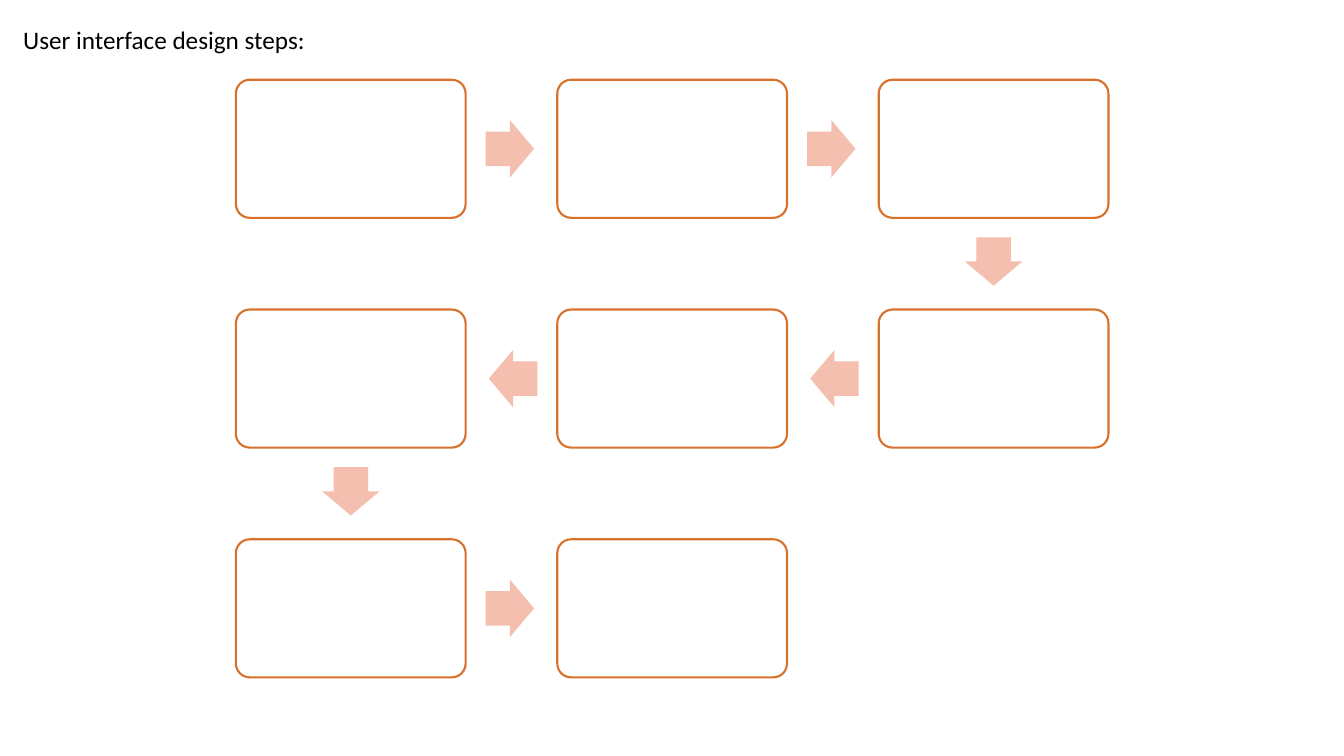
from pptx import Presentation
from pptx.dml.color import RGBColor
from pptx.enum.shapes import MSO_SHAPE
from pptx.enum.text import MSO_ANCHOR, PP_ALIGN
from pptx.util import Cm, Pt

BOX, ARROW = MSO_SHAPE.ROUNDED_RECTANGLE, MSO_SHAPE.RIGHT_ARROW
LEFT, MIDDLE = PP_ALIGN.LEFT, MSO_ANCHOR.MIDDLE

THEME = {
    "font": "Calibri",
    "size": Pt(18),
    "line": Pt(1.5),
    "text": RGBColor.from_string("000000"),
    "box": RGBColor.from_string("FFFFFF"),
    "edge": RGBColor.from_string("D7712C"),
    "arrow": RGBColor.from_string("F4BFAE"),
}

# Grid of steps, in cm
STEPS, COLS = 8, 3
MID_X, MID_Y = 8.84, 3.75      # centre of the first box
GAP_X, GAP_Y = 8.1, 5.79       # from centre to centre
BOX_W, BOX_H = 5.79, 3.48
ARROW_W, ARROW_H = 1.22, 1.45
AHEAD, BELOW = 4.01, 2.84      # from box centre to arrow centre

deck = Presentation()
deck.slide_width, deck.slide_height = Cm(33.87), Cm(19.05)
slide = deck.slides.add_slide(deck.slide_layouts[5])


def add(kind, x, y, wide, high, fill):
    """Add a plain filled shape centred on x, y."""
    shape = slide.shapes.add_shape(
        kind, Cm(x - wide / 2), Cm(y - high / 2), Cm(wide), Cm(high))
    shape.shadow.inherit = False
    shape.fill.solid()
    shape.fill.fore_color.rgb = fill
    shape.line.fill.background()
    return shape


# Title
title = slide.shapes.title
title.left, title.top = Cm(0.33), Cm(0.48)
title.width, title.height = Cm(8.84), Cm(1.02)
frame = title.text_frame
frame.text = "User interface design steps:"
frame.vertical_anchor = MIDDLE
frame.word_wrap = True
frame.paragraphs[0].alignment = LEFT
font = frame.paragraphs[0].runs[0].font
font.name, font.size = THEME["font"], THEME["size"]
font.color.rgb = THEME["text"]

# Steps run right, then left, then right again
for step in range(STEPS):
    row, col = divmod(step, COLS)
    way = -1 if row % 2 else 1
    last = col == COLS - 1
    if way < 0:
        col = COLS - 1 - col
    x, y = MID_X + col * GAP_X, MID_Y + row * GAP_Y

    box = add(BOX, x, y, BOX_W, BOX_H, THEME["box"])
    box.adjustments[0] = 0.1
    box.line.color.rgb = THEME["edge"]
    box.line.width = THEME["line"]

    # Arrow to the next step
    if step == STEPS - 1:
        continue
    if last:
        y, turn = y + BELOW, 90
    else:
        x, turn = x + way * AHEAD, 0 if way > 0 else 180
    arrow = add(ARROW, x, y, ARROW_W, ARROW_H, THEME["arrow"])
    arrow.adjustments[0], arrow.adjustments[1] = 0.6, 0.5
    arrow.rotation = turn

deck.save("out.pptx")
